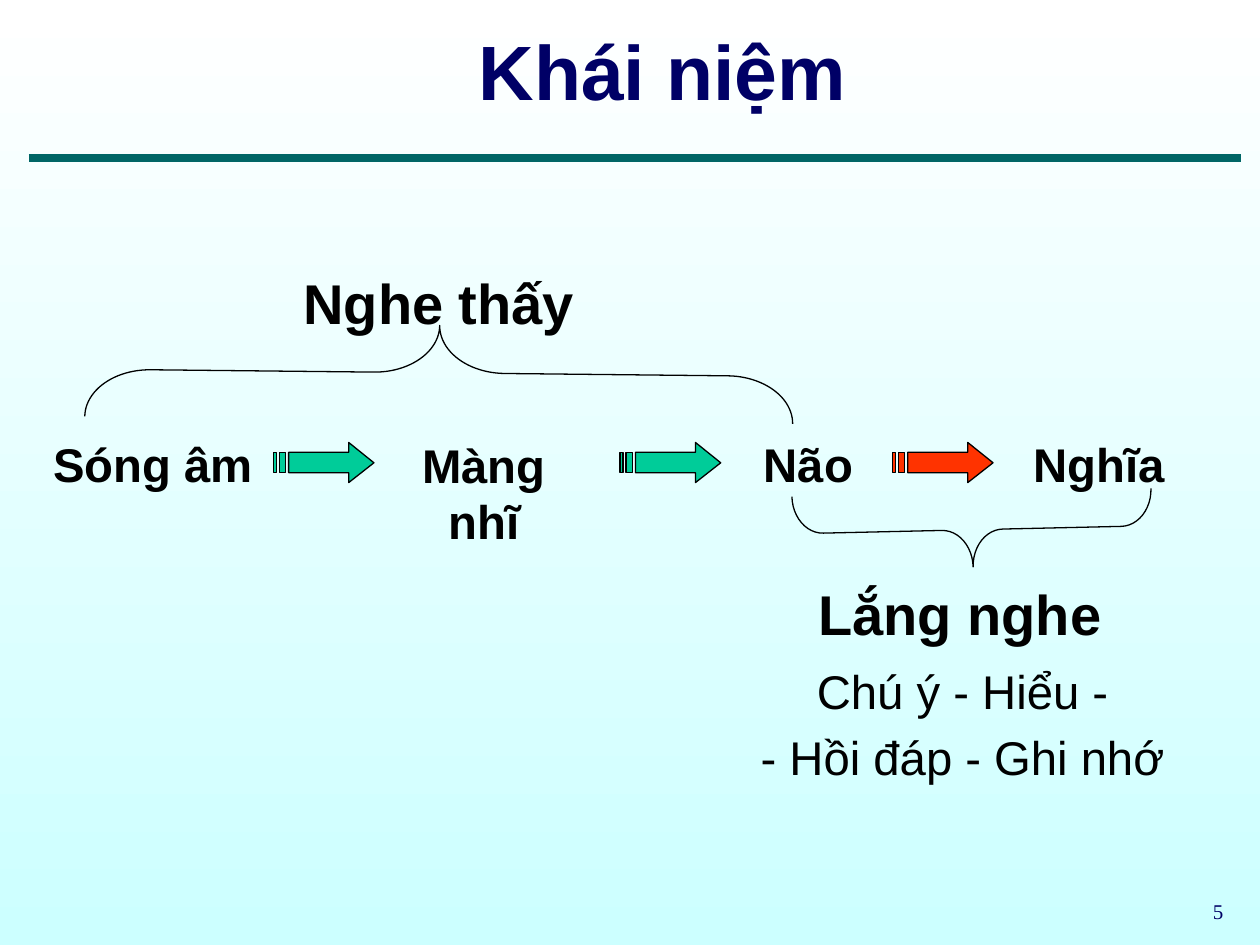
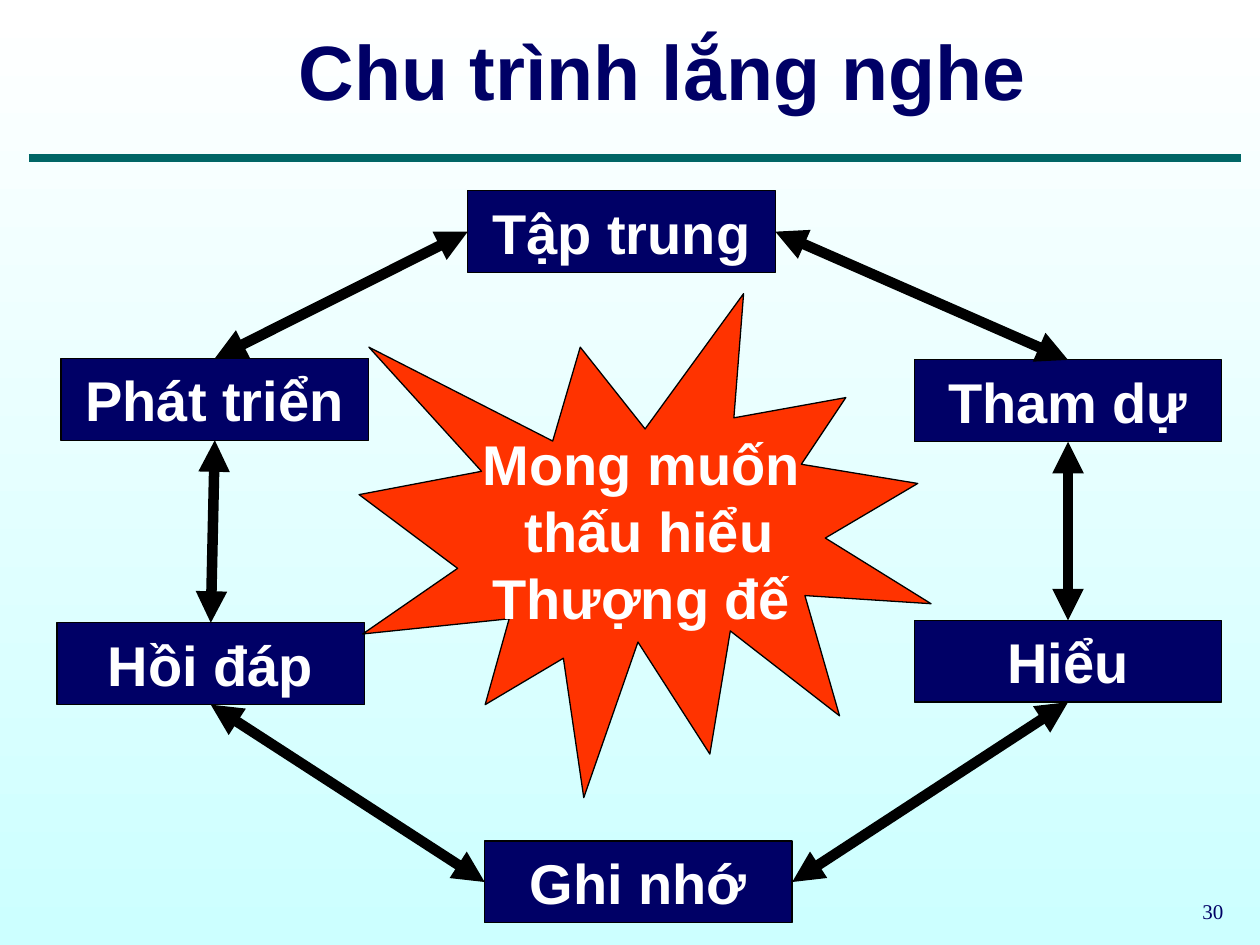
from dataclasses import dataclass
from itertools import pairwise

from lxml.etree import SubElement
from pptx import Presentation
from pptx.dml.color import RGBColor
from pptx.enum.shapes import MSO_CONNECTOR, MSO_SHAPE
from pptx.enum.text import MSO_ANCHOR, PP_ALIGN
from pptx.oxml.ns import qn
from pptx.shapes.autoshape import Shape
from pptx.shapes.connector import Connector
from pptx.slide import Slide
from pptx.util import Cm, Pt

NAVY, TEAL, GREEN, RED = "000066", "006666", "00CC99", "FF3300"
BLACK, WHITE, PALE_CYAN = "000000", "FFFFFF", "CCFFFF"
BODY_FONT, NUMBER_FONT = "Arial", "Times New Roman"
TITLE_ONLY = 5
TOP, LEFT, BOTTOM, RIGHT = range(4)  # connection sites of a rectangle
BOX_WIDTH, BOX_HEIGHT = 6.2, 1.65


@dataclass
class TextStyle:
    size: float
    color: str = BLACK
    bold: bool = True
    font: str = BODY_FONT
    align: PP_ALIGN = PP_ALIGN.CENTER
    line_spacings: tuple[float, ...] = (1.0,)
    space_between: float = 0


@dataclass
class Label:
    text: str
    left: float
    top: float
    width: float
    height: float
    style: TextStyle


@dataclass
class StripedArrow:
    left: float
    color: str


@dataclass
class Brace:
    left: float
    top: float
    width: float
    height: float
    rotation: float
    curl: float


@dataclass
class CycleBox:
    text: str
    center_x: float
    center_y: float


@dataclass
class CycleLink:
    start: int
    start_site: int
    end: int
    end_site: int


TITLE = TextStyle(44, NAVY, line_spacings=(0.8,))
NUMBER = TextStyle(12, NAVY, False, NUMBER_FONT, PP_ALIGN.RIGHT)
STEP = TextStyle(27)
HEADING = TextStyle(32)
LISTENING = TextStyle(32, line_spacings=(1.1,))
DETAILS = TextStyle(27, bold=False, line_spacings=(1.1, 0.6), space_between=16.9)
ON_DARK = TextStyle(32, WHITE)

LABELS = [
    Label("Sóng âm", 0.79, 8.64, 4.6, 1.4, STEP),
    Label("Màng nhĩ", 7.42, 8.66, 4.67, 1.4, STEP),
    Label("Não", 14.81, 8.64, 2.97, 1.4, STEP),
    Label("Nghĩa", 20.57, 8.64, 3.18, 1.4, STEP),
    Label("Nghe thấy", 5.33, 5.28, 7.04, 1.63, HEADING),
    Label("Lắng nghe", 14.81, 11.43, 9.09, 1.75, LISTENING),
    Label("Chú ý - Hiểu -\n- Hồi đáp - Ghi nhớ", 14.86, 13.11, 9.09, 2.79, DETAILS),
]
ARROWS = [StripedArrow(5.51, GREEN), StripedArrow(12.5, GREEN), StripedArrow(17.99, RED)]
ARROW_TOP = 8.92
ARROW_CONTOURS = [
    [(0.31, 0.2), (1.52, 0.2), (1.52, 0), (2.03, 0.41), (1.52, 0.81), (1.52, 0.61), (0.31, 0.61)],
    [(0, 0.2), (0.06, 0.2), (0.06, 0.61), (0, 0.61)],
    [(0.12, 0.2), (0.25, 0.2), (0.25, 0.61), (0.12, 0.61)],
]
BRACES = [
    Brace(7.9, 0.38, 1.91, 14.27, 270.6, 0.69),
    Brace(18.85, 7.06, 1.5, 7.24, 88.7, 0.41),
]
CYCLE_BOXES = [
    CycleBox("Tập trung", 12.53, 4.67),
    CycleBox("Tham dự", 21.53, 8.08),
    CycleBox("Hiểu", 21.53, 13.33),
    CycleBox("Ghi nhớ", 12.87, 17.78),
    CycleBox("Hồi đáp", 4.25, 13.38),
    CycleBox("Phát triển", 4.33, 8.05),
]
CYCLE_LINKS = [
    CycleLink(0, RIGHT, 1, TOP),
    CycleLink(1, BOTTOM, 2, TOP),
    CycleLink(2, BOTTOM, 3, RIGHT),
    CycleLink(3, LEFT, 4, BOTTOM),
    CycleLink(4, TOP, 5, BOTTOM),
    CycleLink(5, TOP, 0, LEFT),
]


def rgb(color: str) -> RGBColor:
    return RGBColor.from_string(color)


def write(shape: Shape, text: str, style: TextStyle, wrap: bool = False) -> None:
    """Put one paragraph per line of text into the shape."""
    frame = shape.text_frame
    frame.text = text
    frame.word_wrap = wrap
    for index, paragraph in enumerate(frame.paragraphs):
        paragraph.alignment = style.align
        paragraph.line_spacing = style.line_spacings[min(index, len(style.line_spacings) - 1)]
        paragraph.space_before = Pt(style.space_between if index else 0)
        paragraph.font.name = style.font
        paragraph.font.size = Pt(style.size)
        paragraph.font.bold = style.bold
        paragraph.font.color.rgb = rgb(style.color)


def add_label(slide: Slide, label: Label) -> None:
    box = slide.shapes.add_textbox(
        Cm(label.left), Cm(label.top), Cm(label.width), Cm(label.height)
    )
    write(box, label.text, label.style)


def paint(shape: Shape, color: str | None) -> None:
    """Give a shape a thin black outline and a flat fill, or no fill."""
    shape.shadow.inherit = False
    shape.line.color.rgb = rgb(BLACK)
    shape.line.width = Pt(0.75)
    if color is None:
        shape.fill.background()
    else:
        shape.fill.solid()
        shape.fill.fore_color.rgb = rgb(color)


def style_line(connector: Connector, color: str, width: float) -> None:
    connector.line.color.rgb = rgb(color)
    connector.line.width = Pt(width)
    SubElement(connector._element.spPr, qn("a:effectLst"))


def add_title_slide(presentation: Presentation, title: str, number: int) -> Slide:
    """Add a slide with the title, rule and number that all slides share."""
    slide = presentation.slides.add_slide(presentation.slide_layouts[TITLE_ONLY])
    rule = slide.shapes.add_connector(
        MSO_CONNECTOR.STRAIGHT, Cm(0.58), Cm(3.18), Cm(25.02), Cm(3.18)
    )
    style_line(rule, TEAL, 4.5)
    heading = slide.shapes.title
    heading.left, heading.top, heading.width, heading.height = Cm(1.96), Cm(0.38), Cm(22.8), Cm(2.4)
    heading.text_frame.vertical_anchor = MSO_ANCHOR.MIDDLE
    write(heading, title, TITLE, wrap=True)
    number_box = slide.shapes.add_textbox(Cm(18.92), Cm(17.98), Cm(5.99), Cm(0.84))
    write(number_box, str(number), NUMBER, wrap=True)
    return slide


def add_striped_arrow(slide: Slide, arrow: StripedArrow) -> None:
    contours = [
        [(Cm(arrow.left + x), Cm(ARROW_TOP + y)) for x, y in contour]
        for contour in ARROW_CONTOURS
    ]
    builder = slide.shapes.build_freeform(*contours[0][0])
    builder.add_line_segments(contours[0][1:], close=True)
    for contour in contours[1:]:
        builder.move_to(*contour[0])
        builder.add_line_segments(contour[1:], close=True)
    paint(builder.convert_to_shape(), arrow.color)


def add_brace(slide: Slide, brace: Brace) -> None:
    shape = slide.shapes.add_shape(
        MSO_SHAPE.RIGHT_BRACE, Cm(brace.left), Cm(brace.top), Cm(brace.width), Cm(brace.height)
    )
    shape.adjustments[0] = brace.curl
    shape.rotation = brace.rotation
    paint(shape, None)


def add_cycle_box(slide: Slide, box: CycleBox) -> Shape:
    shape = slide.shapes.add_shape(
        MSO_SHAPE.RECTANGLE,
        Cm(box.center_x - BOX_WIDTH / 2),
        Cm(box.center_y - BOX_HEIGHT / 2),
        Cm(BOX_WIDTH),
        Cm(BOX_HEIGHT),
    )
    paint(shape, NAVY)
    write(shape, box.text, ON_DARK)
    return shape


def add_cycle_link(slide: Slide, boxes: list[Shape], link: CycleLink) -> None:
    connector = slide.shapes.add_connector(MSO_CONNECTOR.STRAIGHT, 0, 0, 0, 0)
    connector.begin_connect(boxes[link.start], link.start_site)
    connector.end_connect(boxes[link.end], link.end_site)
    style_line(connector, BLACK, 6)
    outline = connector.line._get_or_add_ln()
    for end in ("a:headEnd", "a:tailEnd"):
        SubElement(outline, qn(end), type="triangle")


def build_concept_slide(presentation: Presentation) -> None:
    slide = add_title_slide(presentation, "Khái niệm", 5)
    for arrow in ARROWS:
        add_striped_arrow(slide, arrow)
    for label in LABELS:
        add_label(slide, label)
    for brace in BRACES:
        add_brace(slide, brace)


def build_cycle_slide(presentation: Presentation) -> None:
    slide = add_title_slide(presentation, "Chu trình lắng nghe", 30)
    boxes = [add_cycle_box(slide, box) for box in CYCLE_BOXES]
    burst = slide.shapes.add_shape(
        MSO_SHAPE.EXPLOSION1, Cm(7.24), Cm(5.92), Cm(11.53), Cm(10.16)
    )
    paint(burst, RED)
    write(burst, "Mong muốn\n thấu hiểu\nThượng đế", ON_DARK)
    for link in CYCLE_LINKS:
        add_cycle_link(slide, boxes, link)


def set_background(presentation: Presentation) -> None:
    fill = presentation.slide_master.background.fill
    fill.gradient()
    fill.gradient_angle = 270
    for stop, color in zip(fill.gradient_stops, (WHITE, PALE_CYAN)):
        stop.color.rgb = rgb(color)


def main() -> None:
    presentation = Presentation()
    presentation.slide_width, presentation.slide_height = Cm(25.4), Cm(19.05)
    set_background(presentation)
    build_concept_slide(presentation)
    build_cycle_slide(presentation)
    presentation.save("out.pptx")


if __name__ == "__main__":
    main()
